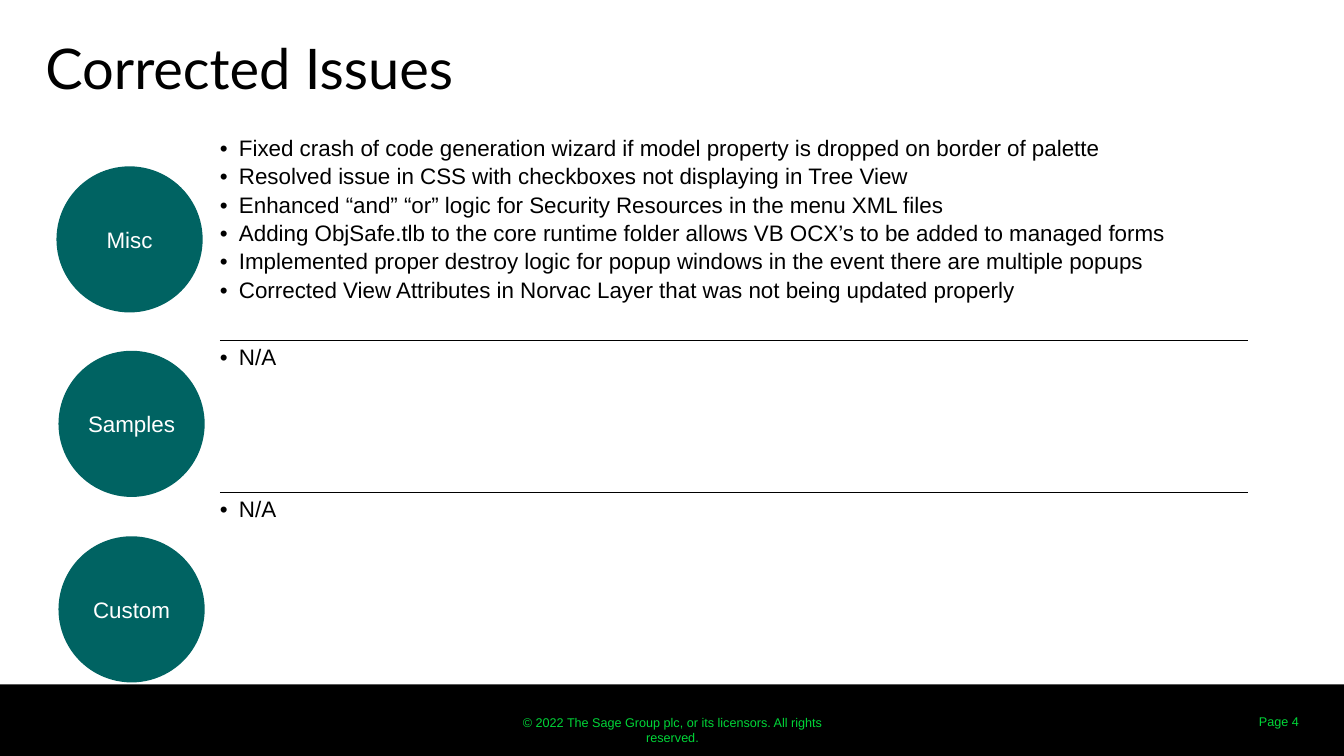
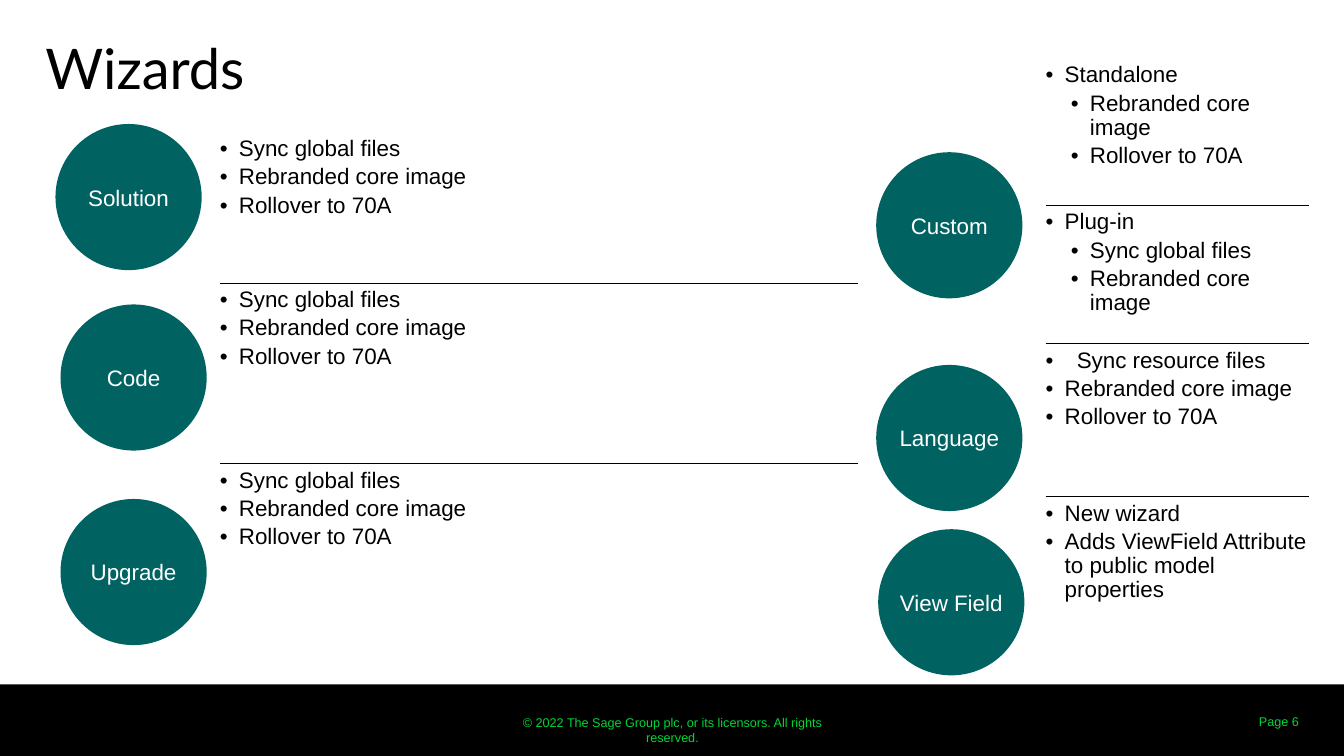
from lxml import etree
from pptx import Presentation
from pptx.dml.color import RGBColor
from pptx.enum import shapes, text
from pptx.oxml import ns
from pptx.util import Inches, Pt

COLORS = {"black": "000000", "white": "FFFFFF", "teal": "006362", "green": "00D638"}
BODY_FONT, TITLE_FONT = "Arial", "Lato"
CIRCLE = 1.45
HANG = 0.19
TITLE_ONLY = 5


def rgb(name):
    return RGBColor.from_string(COLORS[name])


def format_runs(p, size, color, font=BODY_FONT):
    for r in p.runs:
        r.font.size = Pt(size)
        r.font.name = font
        r.font.color.rgb = rgb(color)


def set_margins(tf, x=0, y=0):
    tf.margin_left = tf.margin_right = Inches(x)
    tf.margin_top = tf.margin_bottom = Inches(y)


def add_filled(slide, kind, box, color):
    sp = slide.shapes.add_shape(kind, *map(Inches, box))
    sp.shadow.inherit = False
    sp.fill.solid()
    sp.fill.fore_color.rgb = rgb(color)
    sp.line.fill.background()
    return sp


def add_label(slide, box, label, align, margins, anchor):
    tf = slide.shapes.add_textbox(*map(Inches, box)).text_frame
    tf.word_wrap = True
    tf.vertical_anchor = anchor
    set_margins(tf, *margins)
    tf.text = label
    p = tf.paragraphs[0]
    p.alignment = align
    format_runs(p, 9, "green")


# Title, footer band, copyright and page number
def add_framed_slide(prs, title, page):
    slide = prs.slides.add_slide(prs.slide_layouts[TITLE_ONLY])
    add_filled(slide, shapes.MSO_SHAPE.RECTANGLE, (0, 6.79, 13.33, 0.71), "black")
    add_label(slide, (4.92, 7.04, 3.5, 0.25),
              "© 2022 The Sage Group plc, or its licensors. All rights reserved.",
              text.PP_ALIGN.CENTER, (0, 0.05), text.MSO_ANCHOR.TOP)
    add_label(slide, (12.07, 6.96, 0.91, 0.4), f"Page {page}",
              text.PP_ALIGN.RIGHT, (0.1, 0.05), text.MSO_ANCHOR.MIDDLE)

    sp = slide.shapes.title
    sp.left, sp.top, sp.width, sp.height = map(Inches, (0.45, 0.33, 12.42, 0.65))
    tf = sp.text_frame
    tf.auto_size = text.MSO_AUTO_SIZE.NONE
    tf.vertical_anchor = text.MSO_ANCHOR.TOP
    set_margins(tf)
    tf.text = title
    p = tf.paragraphs[0]
    p.alignment = text.PP_ALIGN.LEFT
    format_runs(p, 40, "black", TITLE_FONT)
    return slide


# Column of topic circles: (label, left, top)
def add_circles(slide, topics):
    for label, left, top in topics:
        sp = add_filled(slide, shapes.MSO_SHAPE.OVAL, (left, top, CIRCLE, CIRCLE), "teal")
        tf = sp.text_frame
        tf.word_wrap = False
        tf.vertical_anchor = text.MSO_ANCHOR.MIDDLE
        set_margins(tf)
        tf.text = label
        p = tf.paragraphs[0]
        p.alignment = text.PP_ALIGN.CENTER
        format_runs(p, 16, "white")


def set_borders(cell, ruled_sides):
    tcPr = cell._tc.get_or_add_tcPr()
    for side in "LRTB":
        ln = etree.SubElement(tcPr, ns.qn(f"a:ln{side}"), w=str(Pt(1)))
        if side in ruled_sides:
            fill = etree.SubElement(ln, ns.qn("a:solidFill"))
            etree.SubElement(fill, ns.qn("a:srgbClr"), val=COLORS["black"])
        else:
            etree.SubElement(ln, ns.qn("a:noFill"))


def format_bullet(p, level, hang):
    p.level = level
    p.line_spacing = 0.97
    p.space_after = Pt(3)
    pPr = p._p.get_or_add_pPr()
    pPr.set("marL", str(Inches(0.25 * level + hang)))
    pPr.set("indent", str(-Inches(hang)))
    etree.SubElement(pPr, ns.qn("a:buFont"), typeface=BODY_FONT)
    etree.SubElement(pPr, ns.qn("a:buChar"), char="•")
    format_runs(p, 16, "black")


# One-column table of bullet lists, ruled between rows; each item is (text, level, hang)
def add_list_table(slide, left, top, width, heights, lists):
    frame = slide.shapes.add_table(len(lists), 1, *map(Inches, (left, top, width, sum(heights))))
    table = frame.table
    table.first_row = table.horz_banding = False
    last = len(lists) - 1
    for i, (height, items) in enumerate(zip(heights, lists)):
        table.rows[i].height = Inches(height)
        cell = table.cell(i, 0)
        set_borders(cell, ("T" if i > 0 else "") + ("B" if i < last else ""))
        cell.fill.background()
        set_margins(cell, 0, 0.05)
        tf = cell.text_frame
        tf.text = "\n".join(item[0] for item in items)
        for p, (_, level, hang) in zip(tf.paragraphs, items):
            format_bullet(p, level, hang)


def bullets(*lines, level=0, hang=HANG):
    return [(line, level, hang) for line in lines]


def build_corrected_issues(prs):
    slide = add_framed_slide(prs, "Corrected Issues", 4)
    add_circles(slide, [("Misc", 0.56, 1.65), ("Samples", 0.58, 3.48), ("Custom", 0.58, 5.32)])
    misc = bullets(
        "Fixed crash of code generation wizard if model property is dropped on border of palette",
        "Resolved issue in CSS with checkboxes not displaying in Tree View",
        "Enhanced “and” “or” logic for Security Resources in the menu XML files",
        "Adding ObjSafe.tlb to the core runtime folder allows VB OCX’s to be added to managed forms",
        "Implemented proper destroy logic for popup windows in the event there are multiple popups",
        "Corrected View Attributes in Norvac Layer that was not being updated properly",
    )
    add_list_table(slide, 2.18, 1.31, 10.2, (2.07, 1.51, 1.51),
                   [misc, bullets("N/A"), bullets("N/A")])


def build_wizards(prs):
    slide = add_framed_slide(prs, "Wizards", 6)
    sync, rebrand, rollover = "Sync global files", "Rebranded core image", "Rollover to 70A"

    # Left half
    add_circles(slide, [("Solution", 0.55, 1.23), ("Code", 0.6, 3.02), ("Upgrade", 0.6, 4.95)])
    add_list_table(slide, 2.18, 1.31, 6.33, (1.5, 1.79, 1.79),
                   [bullets(sync, rebrand, rollover)] * 3)

    # Right half
    add_circles(slide, [("Custom", 8.69, 1.51), ("Language", 8.69, 3.62),
                        ("View Field", 8.71, 5.25)])
    add_list_table(slide, 10.37, 0.58, 2.61, (1.46, 1.37, 1.52, 1.72), [
        bullets("Standalone") + bullets(rebrand, rollover, level=1),
        bullets("Plug-in") + bullets(sync, rebrand, level=1),
        bullets("Sync resource files", hang=0.31) + bullets(rebrand, rollover),
        bullets("New wizard", "Adds ViewField Attribute to public model properties"),
    ])


def main():
    prs = Presentation()
    prs.slide_width, prs.slide_height = Inches(13.33), Inches(7.5)
    build_corrected_issues(prs)
    build_wizards(prs)
    prs.save("out.pptx")


if __name__ == "__main__":
    main()
